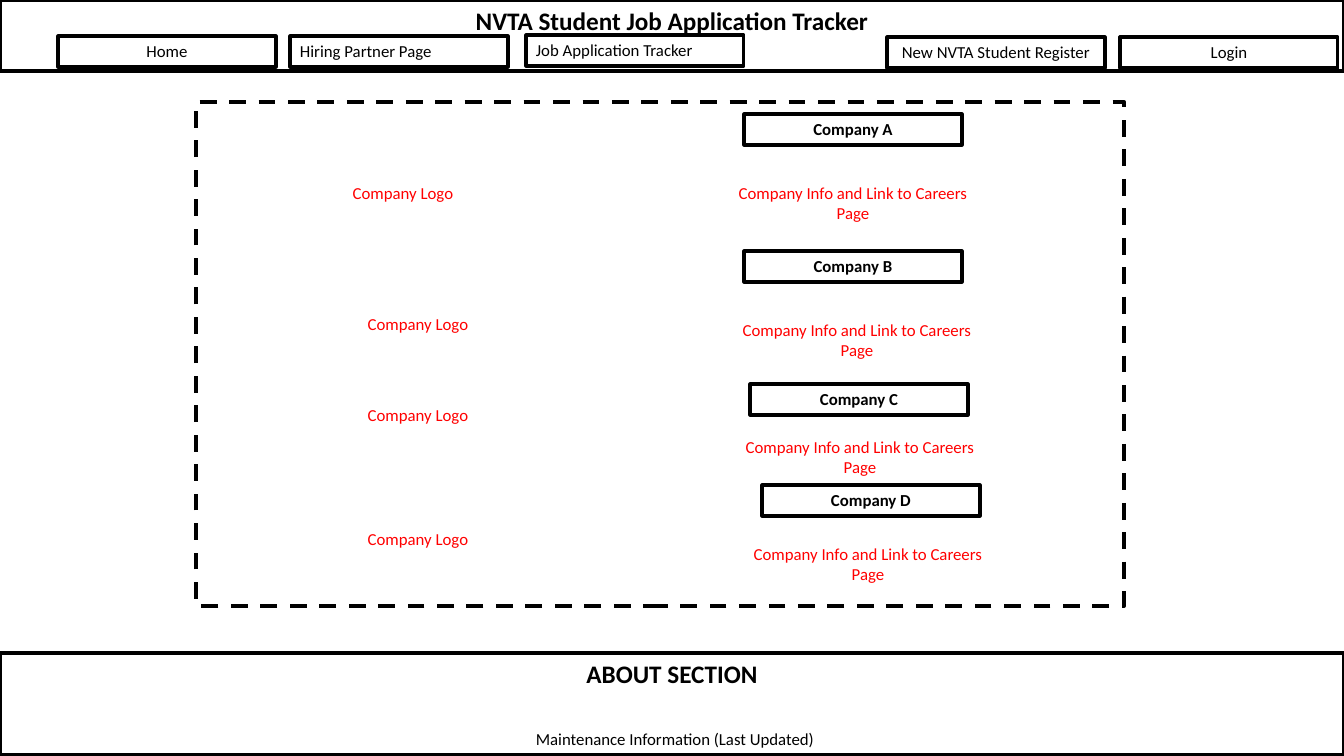
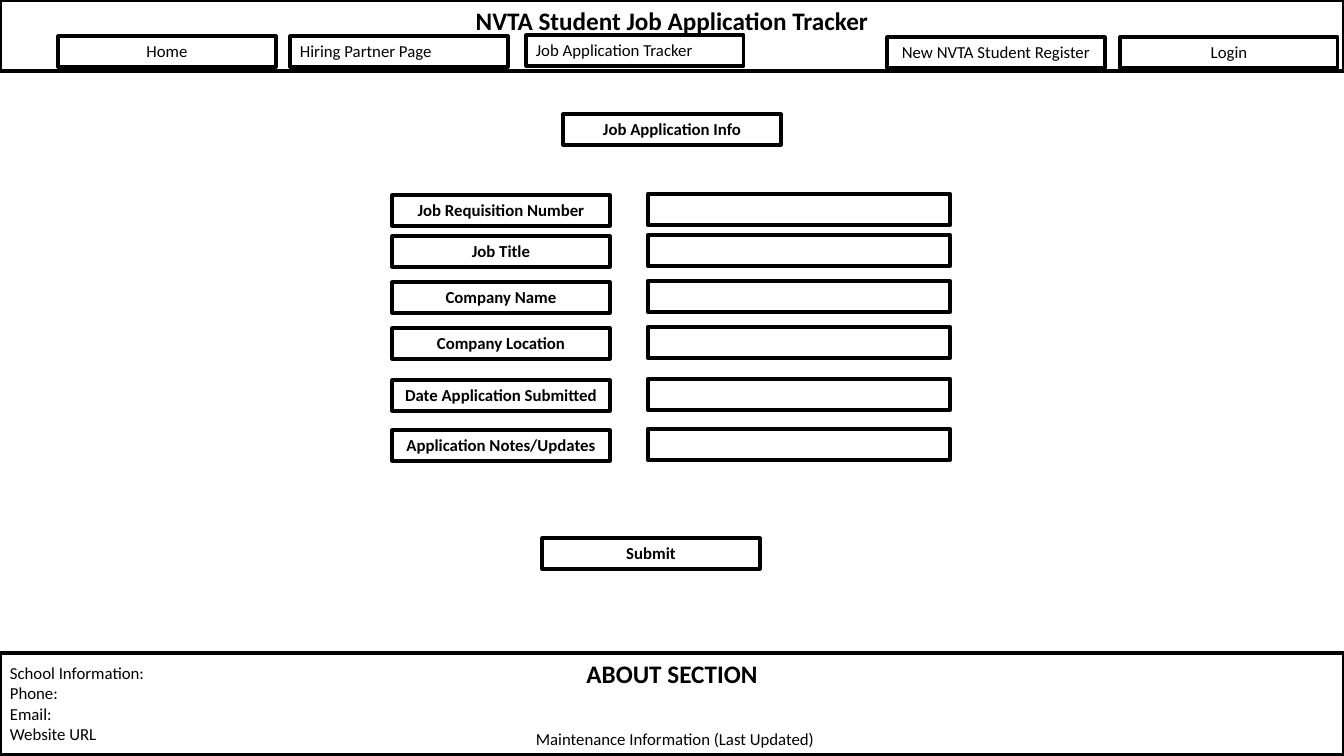
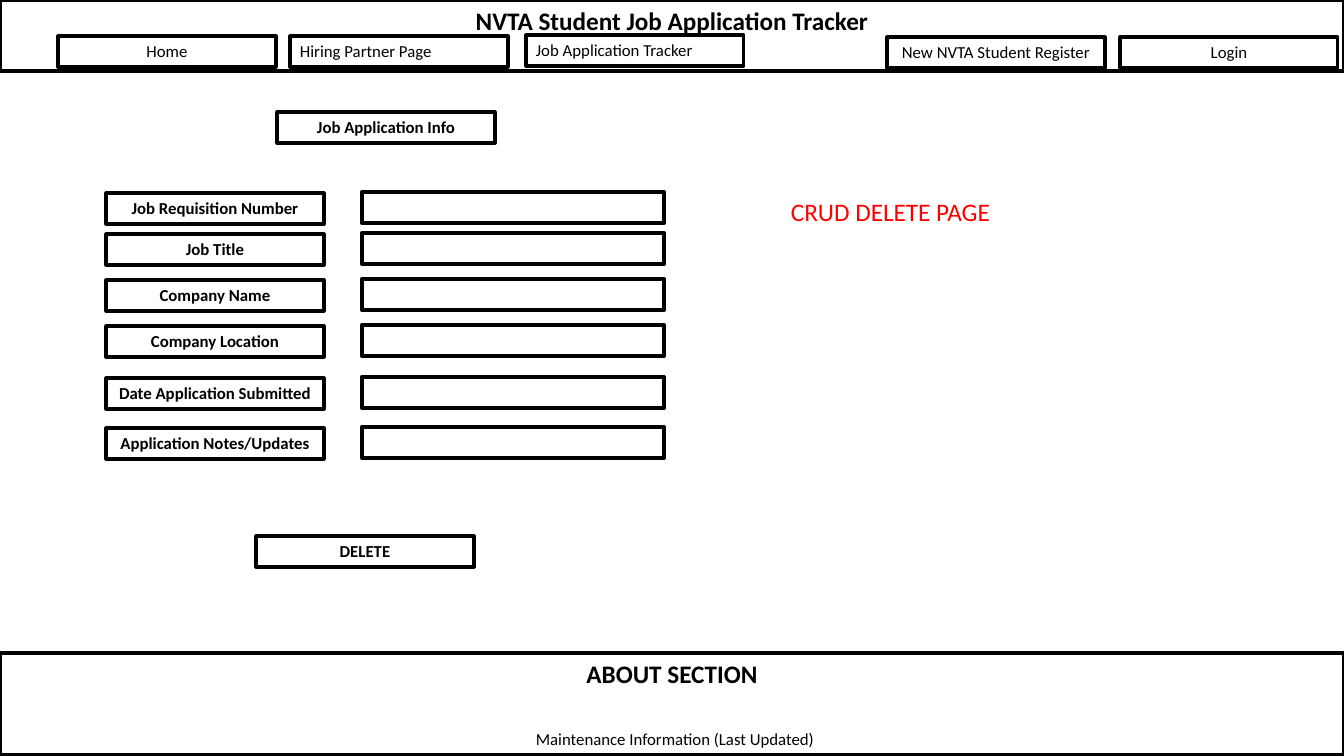
from dataclasses import dataclass
from pptx import Presentation
from pptx.dml.color import RGBColor
from pptx.enum.dml import MSO_LINE
from pptx.enum.shapes import MSO_SHAPE
from pptx.enum.text import MSO_ANCHOR, MSO_AUTO_SIZE, PP_ALIGN
from pptx.util import Emu, Pt

PX = 914400 / 100.8


@dataclass(frozen=True)
class Theme:
    font: str = "Calibri"
    ink: RGBColor = RGBColor(0, 0, 0)
    note: RGBColor = RGBColor(255, 0, 0)
    body: int = 12
    head: int = 18
    thin: float = 2.25
    thick: int = 3


T = Theme()
W, H = 1344, 756
BOX_W, BOX_H = 218, 31
LEFT, CENTER = PP_ALIGN.LEFT, PP_ALIGN.CENTER

PROGRAM = "NVTA"
NAV = [("Home", 58, 36, CENTER), ("Hiring Partner Page", 290, 36, LEFT),
       ("Job Application Tracker", 526, 35, LEFT),
       (f"New {PROGRAM} Student Register", 887, 37, CENTER), ("Login", 1120, 37, CENTER)]
SCHOOL = ["School Information:", "Phone:", "Email:", "Website URL"]
COMPANIES = [("Company A", (548, 12), (532, 76), (82, 76)),
             ("Company B", (548, 149), (536, 213), (97, 207)),
             ("Company C", (554, 282), (539, 330), (97, 298)),
             ("Company D", (566, 383), (547, 437), (97, 422))]
FIELDS = [("Job Requisition Number", 81), ("Job Title", 122), ("Company Name", 168),
          ("Company Location", 214), ("Date Application Submitted", 266),
          ("Application Notes/Updates", 316)]


def px(*values):
    return [Emu(round(v * PX)) for v in values]


def write(sp, lines, size, color, bold, align):
    tf = sp.text_frame
    tf.word_wrap = True
    tf.auto_size = MSO_AUTO_SIZE.NONE
    tf.vertical_anchor = MSO_ANCHOR.TOP
    tf.text = "\n".join(lines)
    for p in tf.paragraphs:
        p.alignment = align
        p.font.name = T.font
        p.font.size = Pt(size)
        p.font.bold = bold
        p.font.color.rgb = color


def outline(sp, width):
    sp.fill.background()
    sp.line.color.rgb = T.ink
    sp.line.width = Pt(width)


def frame(s, x, y, w, h, width=T.thick):
    sp = s.shapes.add_shape(MSO_SHAPE.RECTANGLE, *px(x, y, w, h))
    sp.shadow.inherit = False
    outline(sp, width)
    return sp


def button(s, text, x, y, bold=True, align=CENTER):
    sp = frame(s, x, y, BOX_W, BOX_H, T.thin)
    write(sp, [text], T.body, T.ink, bold, align)


def label(s, lines, x, y, w, h, size=T.body, color=T.ink, align=LEFT):
    sp = s.shapes.add_textbox(*px(x, y, w, h))
    write(sp, lines, size, color, False, align)


def header(s):
    sp = s.shapes.title
    sp.left, sp.top, sp.width, sp.height = px(0, 0, W, 71)
    outline(sp, T.thick)
    write(sp, [f"{PROGRAM} Student Job Application Tracker"], T.head, T.ink, True, CENTER)
    sp.text_frame.margin_top = px(5)[0]
    for text, x, y, align in NAV:
        button(s, text, x, y, False, align)


def footer(s, y=653):
    sp = frame(s, 0, y, W, 102)
    write(sp, ["ABOUT SECTION"], T.head, T.ink, True, CENTER)
    label(s, ["Maintenance Information (Last Updated)"], 526, y + 71, 362, BOX_H)


def page(prs):
    s = prs.slides.add_slide(prs.slide_layouts[5])
    header(s)
    footer(s)
    return s


def partners(s, x, y, w, h):
    frame(s, x, y, w, h).line.dash_style = MSO_LINE.DASH
    for name, (bx, by), (ix, iy), (lx, ly) in COMPANIES:
        button(s, name, x + bx, y + by)
        label(s, ["Company Info and Link to Careers Page"], x + ix, y + iy, 250, 50,
              color=T.note, align=CENTER)
        label(s, ["Company Logo"], x + lx, y + ly, 250, BOX_H, color=T.note, align=CENTER)


def form(s, x, y, action):
    button(s, "Job Application Info", x + 171, y)
    for name, dy in FIELDS:
        button(s, name, x, y + dy)
        frame(s, x + 256, y + dy - 1, 302, BOX_H)
    button(s, action, x + 150, y + 424)


prs = Presentation()
prs.slide_width, prs.slide_height = px(W, H)

partners(page(prs), 196, 102, 928, 504)

submit = page(prs)
label(submit, SCHOOL, 0, 658, 277, 92)
form(submit, 392, 114, "Submit")

delete = page(prs)
form(delete, 106, 112, "DELETE")
label(delete, ["CRUD DELETE PAGE"], 781, 191, 324, 40, T.head, T.note)

prs.save("out.pptx")
